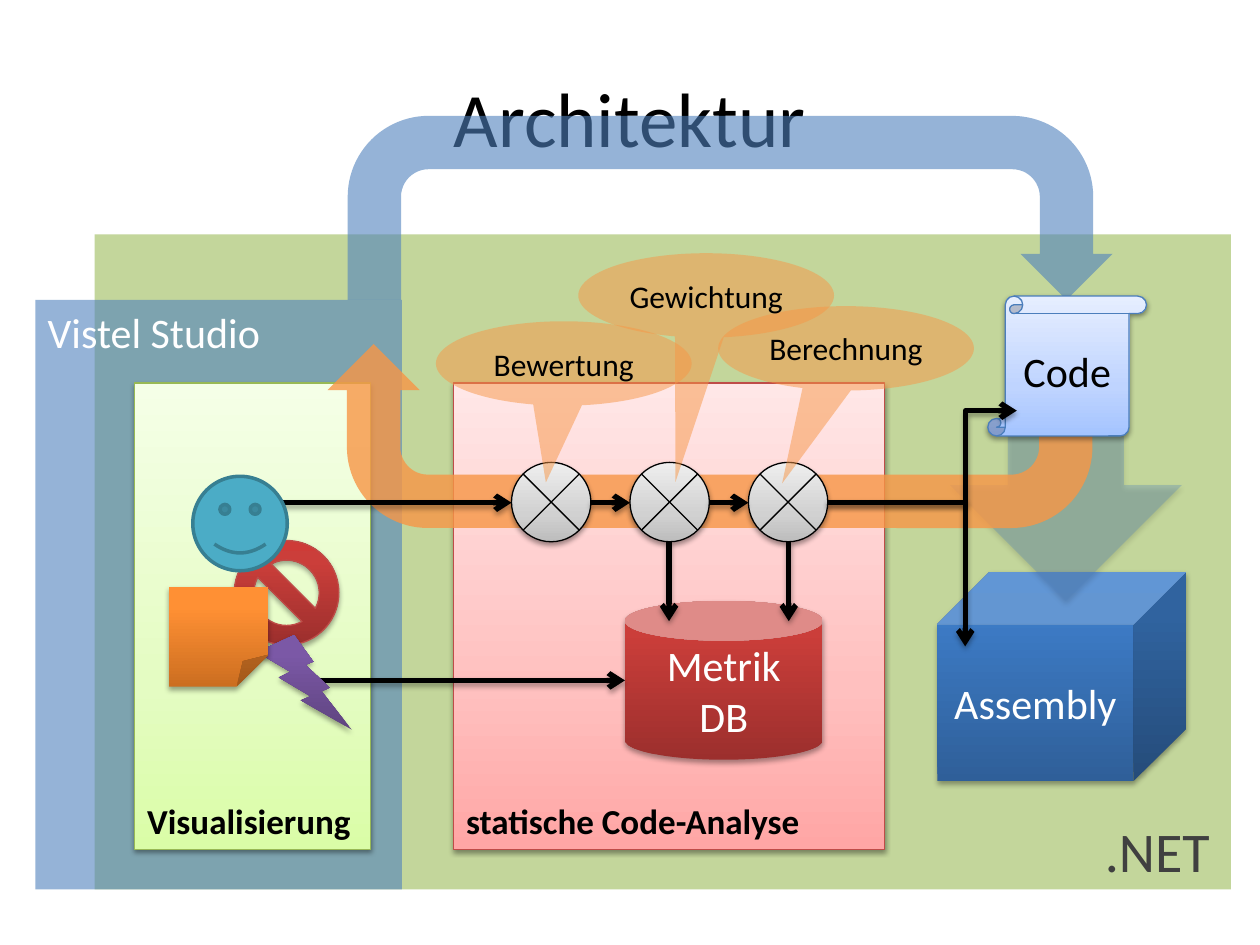
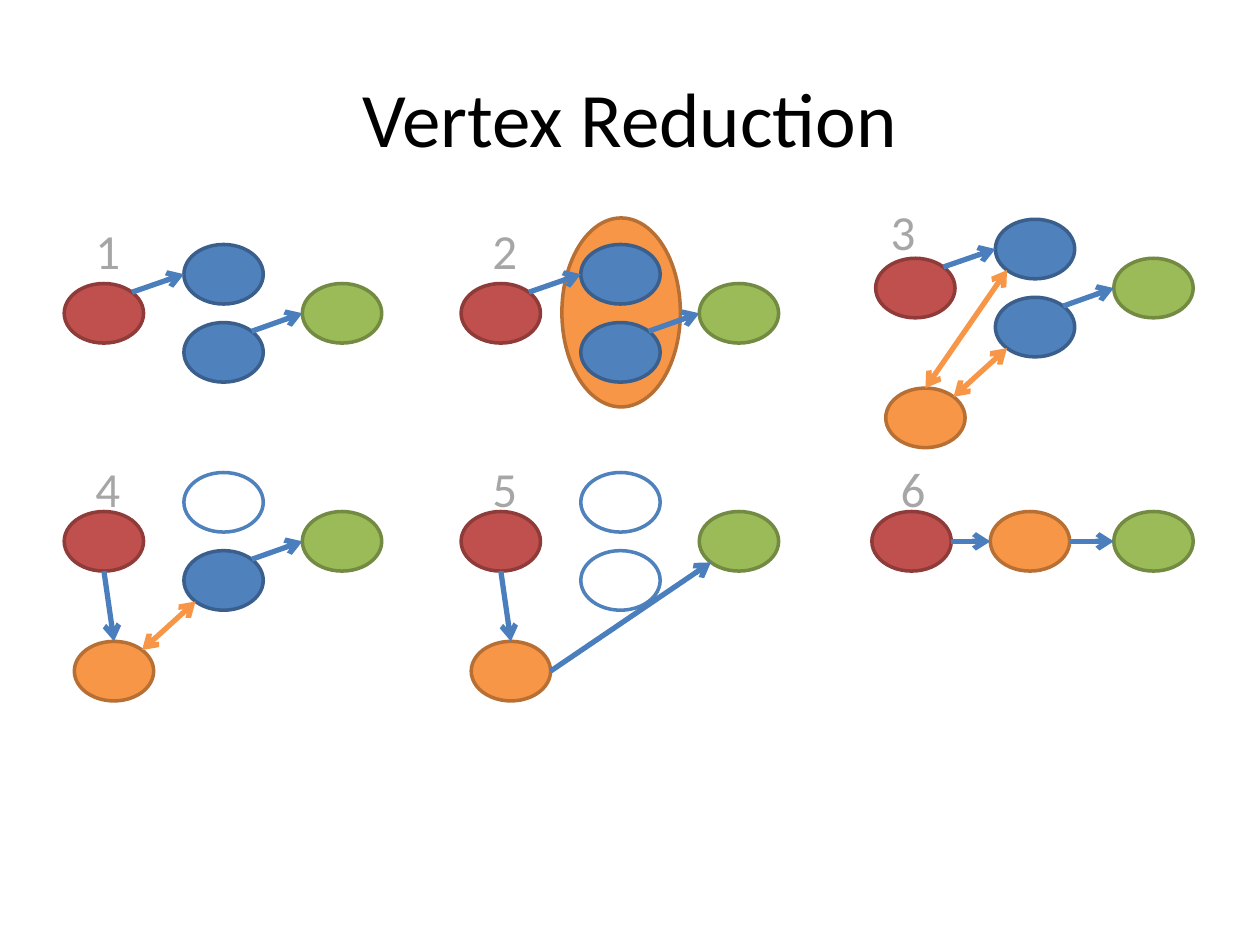
"""Build two slides: a tool architecture and the steps of a vertex reduction."""
from lxml import etree
from pptx import Presentation
from pptx.dml.color import RGBColor
from pptx.enum.shapes import MSO_CONNECTOR, MSO_SHAPE
from pptx.enum.text import MSO_ANCHOR, PP_ALIGN
from pptx.oxml.ns import qn
from pptx.util import Inches, Pt

RECT, OVAL, CUBE, CAN = MSO_SHAPE.RECTANGLE, MSO_SHAPE.OVAL, MSO_SHAPE.CUBE, MSO_SHAPE.CAN
DOWN, UTURN, SCROLL = MSO_SHAPE.DOWN_ARROW, MSO_SHAPE.U_TURN_ARROW, MSO_SHAPE.VERTICAL_SCROLL
JOINT, BUBBLE = MSO_SHAPE.FLOWCHART_SUMMING_JUNCTION, MSO_SHAPE.OVAL_CALLOUT
BAN, SMILE = MSO_SHAPE.NO_SYMBOL, MSO_SHAPE.SMILEY_FACE
BOLT, FOLD = MSO_SHAPE.LIGHTNING_BOLT, MSO_SHAPE.FOLDED_CORNER
STRAIGHT, ELBOW = MSO_CONNECTOR.STRAIGHT, MSO_CONNECTOR.ELBOW
LEFT, CENTER = PP_ALIGN.LEFT, PP_ALIGN.CENTER
TOP, MIDDLE = MSO_ANCHOR.TOP, MSO_ANCHOR.MIDDLE

WIDTH, HEIGHT = Inches(10), Inches(7.5)
COLS = 100
CELL = WIDTH // COLS
FONT = "Calibri"
BLACK, WHITE, GRAY, DARK = "000000", "FFFFFF", "A6A6A6", "404040"
BLUE, RED, GREEN, ORANGE = "4F81BD", "C0504D", "9BBB59", "F79646"
EDGE = "4B7EBC"

DEEP, PALE = (0, 80, 100), (0, 35, 100)
BLUES = DEEP, ("2F5F99", "3D7CC7", "3A7CCB")
REDS = DEEP, ("9C2F2D", "CB3E3A", "CE3B37")
PURPLES = DEEP, ("5F4480", "7B58A6", "7C57A8")
AMBERS = DEEP, ("CC6E20", "FF9034", "FF9136")
ROSE = PALE, ("FFA6A5", "FFC0BF", "FFE7E7")
LIME = PALE, ("DAFDA7", "E4FCC2", "F5FFE7")
SKY = PALE, ("A4C4FF", "BFD4FF", "E6EEFF")
SILVER = PALE, ("BDBDBD", "D1D1D1", "EEEEEE")
HARD, SOFT = (35, 1.8), (38, 1.6)

NODE = 6.3, 4.73
INK = {"red": (RED, "8E3B39"), "up": (BLUE, "3A5F8C"), "low": (BLUE, "3A5F8C"),
       "green": (GREEN, "738A42"), "hub": (ORANGE, "B76F34")}
SPOT = {"red": (0, 0), "up": (9.5, -3.1), "low": (9.5, 3.1),
        "green": (18.9, 0), "hub": (0.8, 10.3)}
ROW = {**SPOT, "green": (19.2, 0), "hub": (9.4, 0)}
DIAG = 0.5 ** 0.5
SIDE = {"n": (0, -1), "e": (1, 0), "s": (0, 1), "w": (-1, 0),
        "ne": (DIAG, -DIAG), "sw": (-DIAG, DIAG)}
ENTER, LEAVE = "red.ne>up.w", "low.ne>green.w"
LINK, FALL = "hub.ne=low.sw", "red.s>hub.n"
FOUR = "red up low green"
STEPS = [
    ((5.1, 22.5), (1.5, -5.5), SPOT, FOUR, "", (ENTER, LEAVE)),
    ((36.6, 22.5), (1.5, -5.5), SPOT, FOUR, "", (ENTER, LEAVE)),
    ((69.5, 20.5), (0.2, -5), SPOT, FOUR + " hub", "",
     (ENTER, LEAVE, LINK, "hub.n=up.sw")),
    ((5.1, 40.6), (1.5, -4.7), SPOT, FOUR + " hub", "up", (FALL, LEAVE, LINK)),
    ((36.6, 40.6), (1.5, -4.7), SPOT, FOUR + " hub", "up low",
     (FALL, "hub.e>green.sw")),
    ((69.2, 40.6), (1.3, -4.7), ROW, "red hub green", "",
     ("red.e>hub.w", "hub.e>green.w")),
]


def grid(*cells):
    """Turn grid cells into slide lengths."""
    return [round(n * CELL) for n in cells]


def tint(code):
    """Make a colour from a hex string."""
    return RGBColor.from_string(code)


def child(node, tag, **attrs):
    """Append a drawing element and return it."""
    return etree.SubElement(node, qn("a:" + tag), {k: str(v) for k, v in attrs.items()})


def shade(effects, look):
    """Put an outer shadow with the given strength and offset in an effect list."""
    alpha, dist = look
    drop = child(effects, "outerShdw", blurRad=Pt(3.1), dist=Pt(dist),
                 dir=5400000, rotWithShape=0)
    child(child(drop, "srgbClr", val=BLACK), "alpha", val=alpha * 1000)


def mold(shape, names, values):
    """Set the named adjustments of a shape, as shares of one."""
    guides = shape.element.spPr.find(qn("a:prstGeom")).find(qn("a:avLst"))
    guides[:] = []
    for name, value in zip(names, values):
        child(guides, "gd", name=name, fmla=f"val {round(value * 100000)}")


def paint(shape, fill, alpha):
    """Fill a shape with a hex colour or a gradient rising from its base."""
    props = shape.element.spPr
    if isinstance(fill, str):
        shape.fill.solid()
        shape.fill.fore_color.rgb = tint(fill)
        if alpha < 100:
            color = props.find(qn("a:solidFill"))[0]
            child(color, "alpha", val=alpha * 1000)
        return
    shape.fill.gradient()
    shape.fill.gradient_angle = 90
    stops = props.find(qn("a:gradFill")).find(qn("a:gsLst"))
    stops[:] = []
    for place, code in zip(*fill):
        child(child(stops, "gs", pos=place * 1000), "srgbClr", val=code)


def write(shape, text, size, color, align=CENTER, anchor=MIDDLE, bold=False):
    """Set the text of a shape and its look."""
    frame = shape.text_frame
    frame.text = text
    frame.word_wrap = True
    frame.vertical_anchor = anchor
    for para in frame.paragraphs:
        para.alignment = align
        font = para.font
        font.name, font.size, font.bold = FONT, Pt(size), bold
        font.color.rgb = tint(color)


def form(slide, kind, box, fill, alpha=100, line=None, width=0.75, drop=None):
    """Draw a preset shape."""
    shape = slide.shapes.add_shape(kind, *grid(*box))
    paint(shape, fill, alpha)
    if line:
        shape.line.color.rgb = tint(line)
        shape.line.width = Pt(width)
    else:
        shape.line.fill.background()
    shape.shadow.inherit = False
    if drop:
        shade(shape.element.spPr.find(qn("a:effectLst")), drop)
    return shape


def label(slide, box, text, size, color, align=LEFT, anchor=TOP, bold=False):
    """Place a text box."""
    area = slide.shapes.add_textbox(*grid(*box))
    write(area, text, size, color, align, anchor, bold)


def title(slide, text):
    """Place the slide title."""
    label(slide, (5, 3, 90, 12.5), text, 44, BLACK, CENTER, MIDDLE)


def arrow(slide, start, end, color=BLACK, both=False, drop=None, kind=STRAIGHT):
    """Draw a connector with an arrowhead at its end, or at both ends."""
    link = slide.shapes.add_connector(kind, *grid(*start, *end))
    link.line.color.rgb = tint(color)
    link.line.width = Pt(3)
    props = link.element.spPr
    stroke = props.find(qn("a:ln"))
    if both:
        child(stroke, "headEnd", type="arrow")
    child(stroke, "tailEnd", type="arrow")
    effects = child(props, "effectLst")
    if drop:
        shade(effects, drop)
    return link


def flow(slide, start, end, kind=STRAIGHT):
    """Draw a black arrow with a shadow."""
    return arrow(slide, start, end, drop=HARD, kind=kind)


def icons(slide):
    """Draw the pile of symbols in the view panel."""
    form(slide, BAN, (18.6, 42.9, 8.3, 8.3), REDS, line="BF4C48", drop=HARD)
    form(slide, SMILE, (15.3, 37.8, 7.5, 7.5), "4BACC6", line="377F92", width=2)
    form(slide, BOLT, (20.4, 50.4, 7.5, 7.5), PURPLES, drop=HARD)
    page = form(slide, FOLD, (13.4, 46.6, 7.9, 7.9), AMBERS, drop=HARD)
    mold(page, ["adj"], [0.32])


def turn(slide, box, color, alpha, angle):
    """Draw a wide arrow that turns back."""
    shape = form(slide, UTURN, box, color, alpha)
    mold(shape, [f"adj{i}" for i in range(1, 6)], [0.29, 0.25, 0.25, 0.44, 1])
    shape.rotation = angle


def design(slide):
    """Draw the architecture slide."""
    form(slide, RECT, (7.5, 18.6, 90.2, 52), GREEN, 60)
    form(slide, RECT, (2.8, 23.8, 29.1, 46.8), BLUE, 60)
    cube = form(slide, CUBE, (74.4, 45.4, 19.7, 16.6), BLUES, drop=HARD)
    write(cube, "Assembly", 24, WHITE)
    form(slide, DOWN, (75.4, 27.3, 18.4, 20.4), BLUE, 30, drop=SOFT)
    title(slide, "Architektur")

    for left, wide, fill, line, text in (
            (36, 34.2, ROSE, "BF4C48", "statische Code-Analyse"),
            (10.7, 18.7, LIME, "98B955", "Visualisierung")):
        form(slide, RECT, (left, 30.4, wide, 37), fill, line=line, drop=SOFT)
        label(slide, (left, 63, wide, 4.4), text, 20, BLACK, bold=True)

    store = form(slide, CAN, (49.6, 47.7, 15.7, 12.6), REDS, drop=HARD)
    write(store, "Metrik\nDB", 24, WHITE)
    for col in (62.6, 53.1):
        flow(slide, (col, 43), (col, 49.3))
    flow(slide, (23.5, 54), (49.6, 54))
    label(slide, (2.8, 23.8, 21.2, 5), "Vistel Studio", 24, WHITE)
    label(slide, (86.7, 64.3, 11.3, 6.4), ".NET", 32, DARK)

    turn(slide, (27.6, 9.2, 60.7, 14.6), BLUE, 60, 0)
    turn(slide, (26, 27.3, 60.7, 14.6), ORANGE, 80, 180)
    code = form(slide, SCROLL, (78.4, 23.5, 12.6, 11.1), SKY, line=EDGE, drop=SOFT)
    write(code, "Code", 24, BLACK)

    joints = [40.6 + 9.4 * i for i in range(3)]
    for left in joints:
        form(slide, JOINT, (left, 36.7, 6.3, 6.3), SILVER, line=BLACK, drop=SOFT)
    for left, top, text, tip in ((57, 24.3, "Berechnung", (-0.25, 1.6)),
                                 (45.9, 20.1, "Gewichtung", (-0.12, 2.21)),
                                 (34.6, 25.5, "Bewertung", (-0.07, 1.41))):
        note = form(slide, BUBBLE, (left, top, 20.3, 6.7), ORANGE, 50)
        mold(note, ["adj1", "adj2"], tip)
        write(note, text, 18, BLACK)

    fork = 65.7, 39.9
    drop = flow(slide, fork, (76.6, 51.3), ELBOW)
    drop.element.spPr.find(qn("a:prstGeom")).set("prst", "bentConnector2")
    mold(flow(slide, fork, (80.7, 32.6), ELBOW), ["adj1"], [0.73])
    flow(slide, (19.6, 39.9), (joints[0], 39.9))
    icons(slide)
    for left, right in zip(joints, joints[1:]):
        flow(slide, (left + 6.3, 39.9), (right, 39.9))


def port(origin, spots, name):
    """Find the point on a node's rim, given as node.side."""
    node, side = name.split(".")
    return [base + shift + size / 2 * (1 + way) for base, shift, size, way
            in zip(origin, spots[node], NODE, SIDE[side])]


def step(slide, count, origin, mark, spots, nodes, empty, edges):
    """Draw one numbered stage of the graph."""
    left, top = origin
    for name in nodes.split():
        fill, line = (WHITE, BLUE) if name in empty.split() else INK[name]
        col, row = spots[name]
        form(slide, OVAL, (left + col, top + row, *NODE), fill, line=line, width=2)
    for edge in edges:
        both = "=" in edge
        start, end = edge.split("=" if both else ">")
        arrow(slide, port(origin, spots, start), port(origin, spots, end),
              ORANGE if both else EDGE, both)
    label(slide, (left + mark[0], top + mark[1], 4, 5.7), str(count), 28, GRAY)


def graph(slide):
    """Draw the vertex reduction slide."""
    fill, line = INK["hub"]
    form(slide, OVAL, (44.6, 17.3, 9.4, 15), fill, line=line, width=2)
    title(slide, "Vertex Reduction")
    for count, stage in enumerate(STEPS, 1):
        step(slide, count, *stage)


def main():
    """Build and save the deck."""
    deck = Presentation()
    deck.slide_width, deck.slide_height = WIDTH, HEIGHT
    blank = deck.slide_layouts[6]
    for draw in (design, graph):
        draw(deck.slides.add_slide(blank))
    deck.save("out.pptx")


if __name__ == "__main__":
    main()
